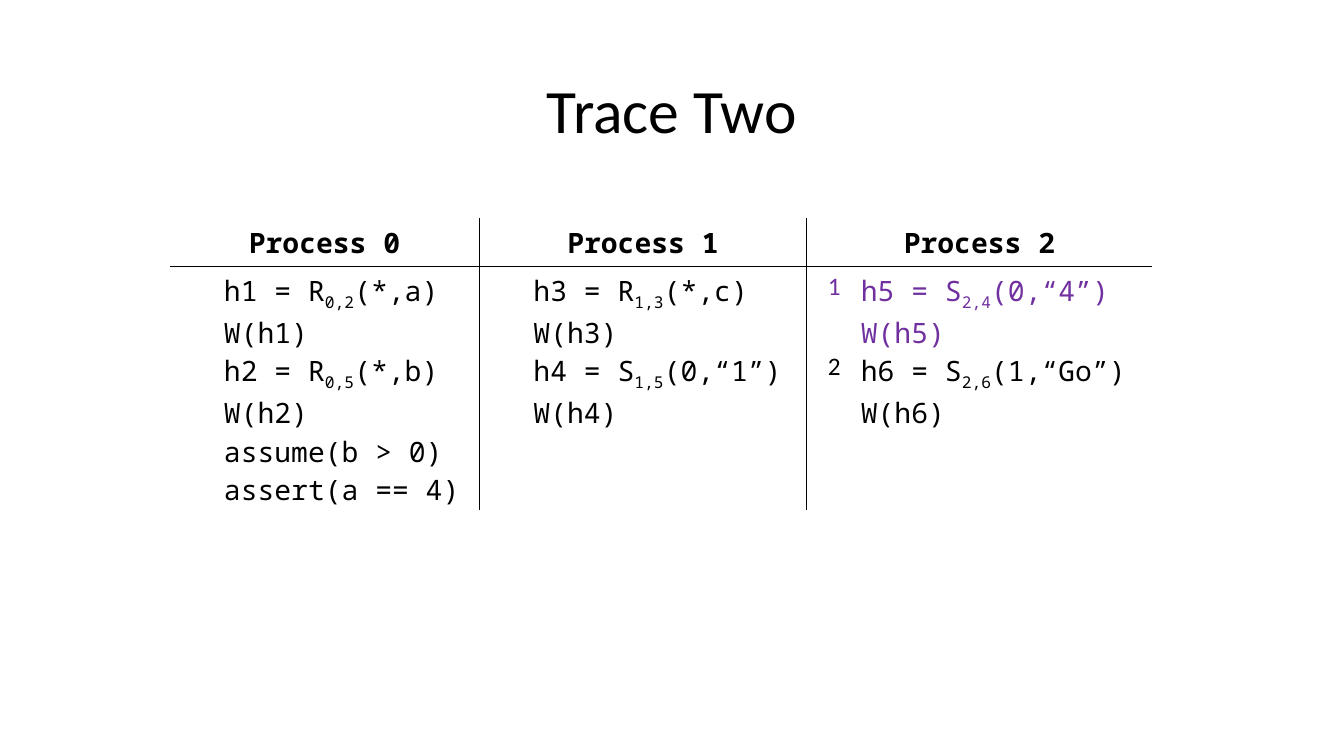
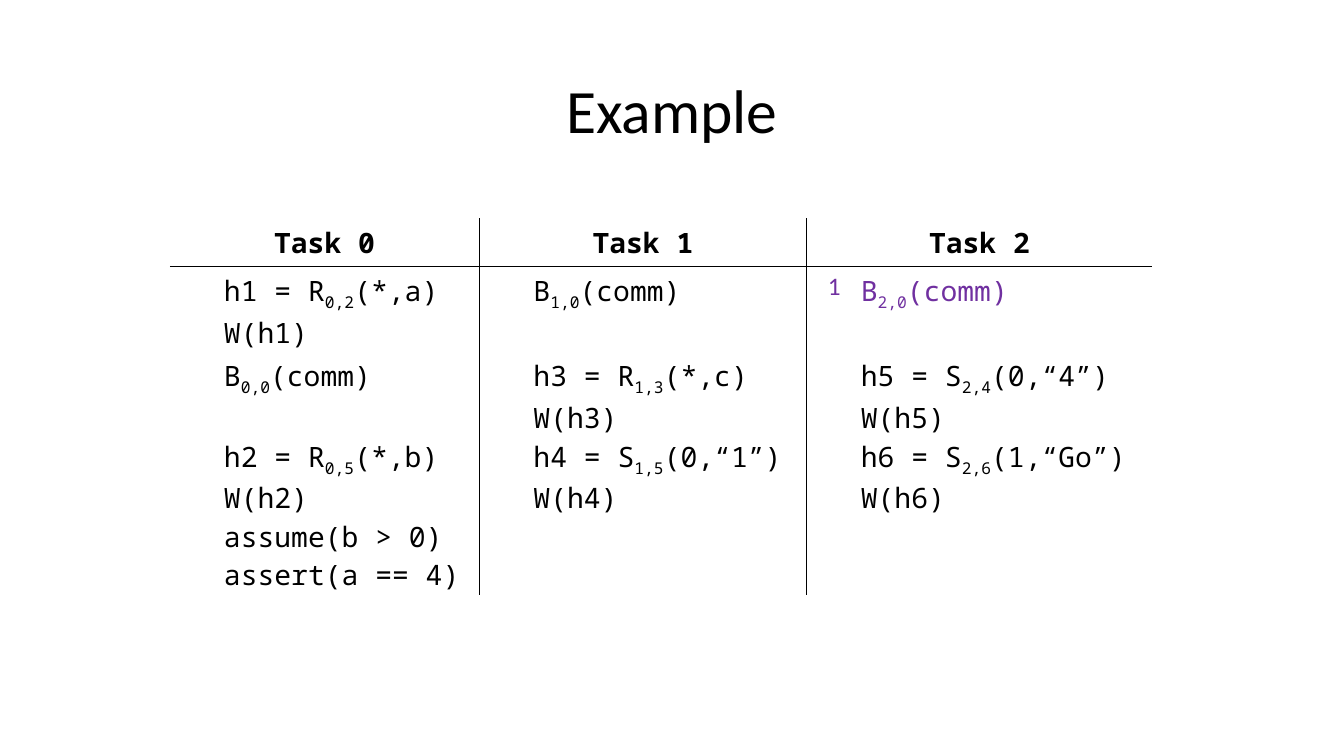
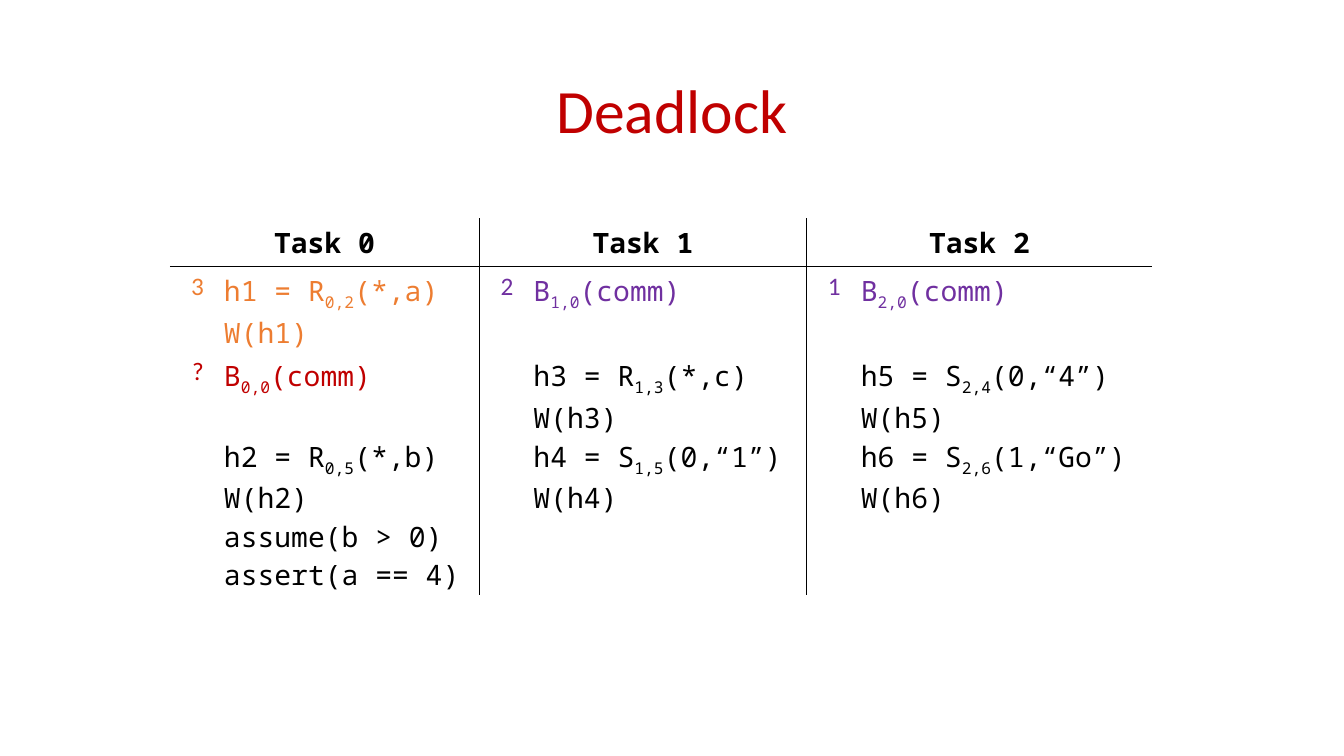
from lxml.etree import SubElement
from pptx import Presentation
from pptx.dml.color import RGBColor
from pptx.enum.text import MSO_ANCHOR, PP_ALIGN
from pptx.oxml import parse_xml
from pptx.oxml.ns import nsdecls, qn
from pptx.util import Cm, Pt

BLACK, WHITE, PURPLE, ORANGE, RED = "000000", "FFFFFF", "7030A0", "ED7D31", "C00000"
TITLE = {"name": "Calibri", "size": Pt(44)}
HEADING = {"name": "Noto Sans Mono", "size": Pt(20), "bold": True}
CODE = {"name": "Noto Sans Mono", "size": Pt(20), "bold": False}
MARK = {"name": "Calibri", "size": Pt(18), "bold": False}
PLAIN_TABLE = "{2D5ABB26-0587-4C30-8999-92F81FD0307C}"
COLUMN_WIDTHS = [1.11, 6.69, 1.11, 7.14, 1.11, 7.6]

# Subscripts stand between bars; each row holds the code of the three processes.
FIRST_RECEIVE = "h1 = R|0,2|(*,a)\nW(h1)"
RECEIVE_C = "h3 = R|1,3|(*,c)\nW(h3)"
SEND_4 = "h5 = S|2,4|(0,“4”)\nW(h5)"
ENDING = [
    ["h2 = R|0,5|(*,b)\nW(h2)", "h4 = S|1,5|(0,“1”)\nW(h4)", "h6 = S|2,6|(1,“Go”)\nW(h6)"],
    ["assume(b > 0)\nassert(a == 4)", "", ""],
]
TRACE = [[FIRST_RECEIVE, RECEIVE_C, SEND_4]] + ENDING
BARRIER_TRACE = [
    [FIRST_RECEIVE, "B|1,0|(comm)", "B|2,0|(comm)"],
    ["B|0,0|(comm)", RECEIVE_C, SEND_4],
] + ENDING

# Title, title colour, heading word, code rows, {(row, process): (mark, colour)}
SLIDES = [
    ("Trace Two", BLACK, "Process", TRACE, {(1, 2): ("1", PURPLE), (2, 2): ("2", BLACK)}),
    ("Example", BLACK, "Task", BARRIER_TRACE, {(1, 2): ("1", PURPLE)}),
    ("Deadlock", RED, "Task", BARRIER_TRACE,
     {(1, 0): ("3", ORANGE), (1, 1): ("2", PURPLE), (1, 2): ("1", PURPLE), (2, 0): ("?", RED)}),
]


def write(frame, text, style, color=BLACK, align=PP_ALIGN.LEFT):
    """Fill a text frame, one paragraph a line, lowering what stands between bars."""
    for index, line in enumerate(text.split("\n")):
        paragraph = frame.add_paragraph() if index else frame.paragraphs[0]
        paragraph.alignment = align
        for part, piece in enumerate(line.split("|")):
            run = paragraph.add_run()
            run.text = piece
            for attribute, value in style.items():
                setattr(run.font, attribute, value)
            run.font.color.rgb = RGBColor.from_string(color)
            if part % 2:
                run.font._element.set("baseline", "-25000")


def rule_sides(cell, sides):
    """Draw a 1 pt black border on each side marked true; keep the others clear."""
    properties = cell._tc.get_or_add_tcPr()
    for place, (side, drawn) in enumerate(sides.items()):
        border = parse_xml(f'<a:ln{side} {nsdecls("a")} w="12700"/>')
        if drawn:
            SubElement(SubElement(border, qn("a:solidFill")), qn("a:srgbClr"), val=BLACK)
        else:
            SubElement(border, qn("a:noFill"))
        properties.insert(place, border)


deck = Presentation()
deck.slide_width, deck.slide_height = Cm(33.87), Cm(19.05)

for title, title_color, heading, code_rows, marks in SLIDES:
    slide = deck.slides.add_slide(deck.slide_layouts[6])
    title_frame = slide.shapes.add_textbox(Cm(2.33), Cm(1.01), Cm(29.21), Cm(3.68)).text_frame
    title_frame.word_wrap = True
    title_frame.vertical_anchor = MSO_ANCHOR.MIDDLE
    write(title_frame, title, TITLE, title_color, PP_ALIGN.CENTER)
    title_frame.paragraphs[0].line_spacing = 0.9

    opening_count = len(code_rows) - len(ENDING)
    heights = [1.21] + [2.15] * opening_count + [2.03, 1.95]
    trace = slide.shapes.add_table(
        len(heights), len(COLUMN_WIDTHS), Cm(4.28), Cm(5.5),
        Cm(sum(COLUMN_WIDTHS)), Cm(sum(heights))).table
    trace.first_row = trace.horz_banding = False
    trace._tbl.tblPr.find(qn("a:tableStyleId")).text = PLAIN_TABLE
    for column, width in zip(trace.columns, COLUMN_WIDTHS):
        column.width = Cm(width)

    for row, height in enumerate(heights):
        trace.rows[row].height = Cm(height)
        for column in range(len(COLUMN_WIDTHS)):
            cell = trace.cell(row, column)
            cell.fill.solid()
            cell.fill.fore_color.rgb = RGBColor.from_string(WHITE)
            if row:
                cell.margin_top = Cm(0.13 if row <= opening_count else 0)
                cell.margin_bottom = 0
            rule_sides(cell, {
                "L": column in (2, 4),
                "R": column in (1, 3) or (row == 0 and column in (0, 2)),
                "T": row == 1,
                "B": row == 0,
            })

    for process in range(3):
        mark_column = 2 * process
        heading_cell = trace.cell(0, mark_column)
        heading_cell.merge(trace.cell(0, mark_column + 1))
        write(heading_cell.text_frame, f"{heading} {process}", HEADING, align=PP_ALIGN.CENTER)
        for row, codes in enumerate(code_rows, 1):
            mark, color = marks.get((row, process), ("", BLACK))
            if mark:
                write(trace.cell(row, mark_column).text_frame, mark, MARK, color, PP_ALIGN.RIGHT)
            if codes[process]:
                write(trace.cell(row, mark_column + 1).text_frame, codes[process], CODE, color)

deck.save("out.pptx")
